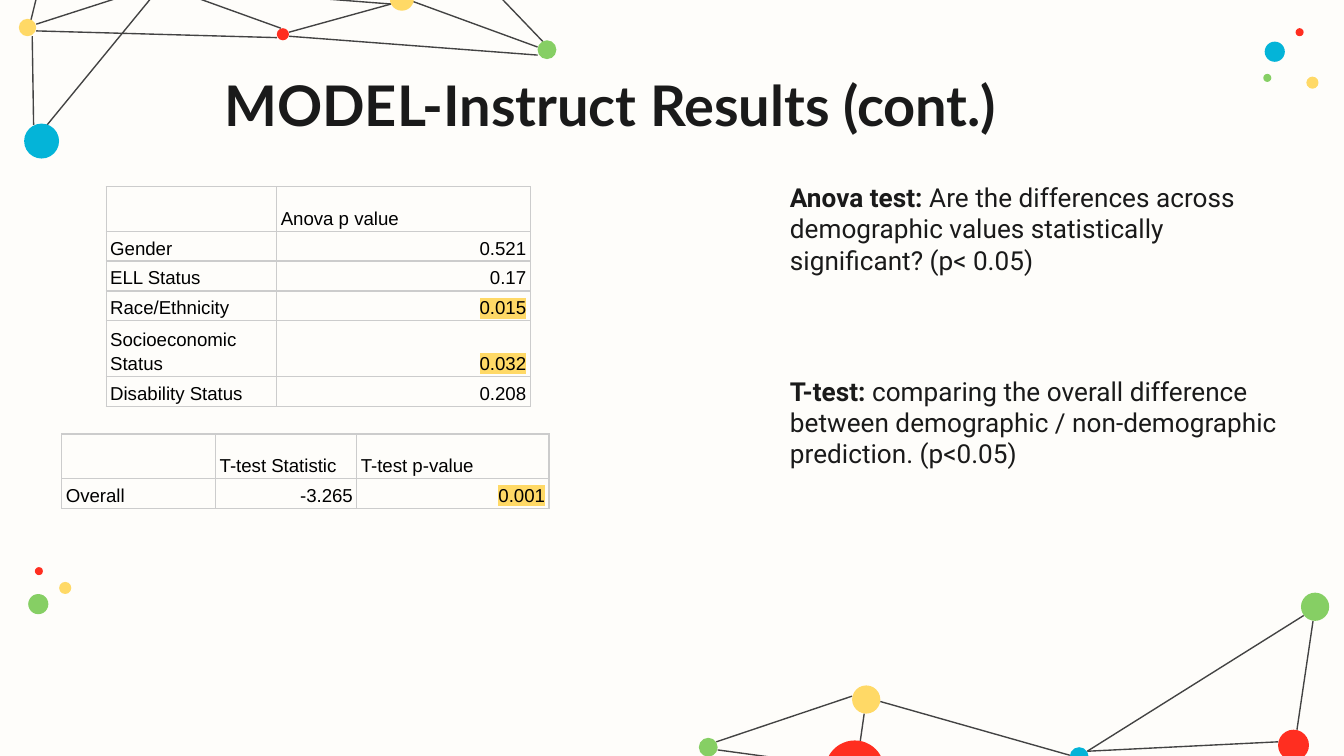
from dataclasses import dataclass

from lxml.etree import SubElement as Sub
from pptx import Presentation
from pptx.dml.color import RGBColor as Rgb
from pptx.enum.shapes import MSO_CONNECTOR as Link, MSO_SHAPE as Form
from pptx.enum.text import MSO_ANCHOR as Anchor, PP_ALIGN as Align
from pptx.oxml.ns import qn
from pptx.util import Pt

SCALE = 4572  # EMU per px, 200 px to the inch


@dataclass(frozen=True)
class Theme:
    paper: str = "FEFDFA"
    ink: str = "1A1A1A"
    black: str = "000000"
    wire: str = "434343"
    grid: str = "CCCCCC"
    gold: str = "FFD966"
    green: str = "86CF64"
    red: str = "FF2E20"
    blue: str = "04B4D8"
    title: int = 30
    body: int = 14
    cell: int = 10
    thin: float = 0.75


T = Theme()
ROW = 44  # least row height; rows grow with their text

# Dots: left, top, diameter, colour
DOTS = [
    (88, 866, 18, T.gold), (42, 884, 30, T.green), (52, 844, 12, T.red),
    (1944, 114, 18, T.gold), (1882, 62, 30, T.blue), (1928, 42, 12, T.red),
    (1880, 110, 12, T.green),
    (580, -20, 36, T.gold), (28, 28, 26, T.gold), (412, 42, 18, T.red),
    (800, 60, 28, T.green), (36, 184, 52, T.blue),
    (1936, 882, 42, T.green), (1228, 1102, 88, T.red),
    (1902, 1086, 46, T.red), (1592, 1112, 28, T.blue),
    (1040, 1098, 28, T.green), (1268, 1020, 42, T.gold),
]

# Wires: x and y of both ends
WIRES = [
    (54, 36, 228, -20), (418, 42, 246, -20), (174, -488, 46, 30),
    (54, 46, 412, 56), (430, 48, 582, 6), (246, -20, 582, 6),
    (800, 70, 614, 2), (430, 54, 800, 82), (808, 62, 624, -130),
    (234, -14, 70, 186), (48, 54, 50, 186),
    (1954, 924, 1930, 1086), (1940, 916, 1618, 1118),
    (1902, 1104, 1618, 1118), (1068, 1116, 1230, 1138),
    (1066, 1104, 1268, 1036), (1310, 1044, 1592, 1124),
    (1286, 1062, 1280, 1104),
]

ANOVA = [
    ("", "Anova p value"),
    ("Gender", "0.521"),
    ("ELL Status", "0.17"),
    ("Race/Ethnicity", "0.015"),
    ("Socioeconomic Status", "0.032"),
    ("Disability Status", "0.208"),
]
TTEST = [
    ("", "T-test Statistic", "T-test p-value"),
    ("Overall", "-3.265", "0.001"),
]
MARKED = {"0.015", "0.032", "0.001"}

NOTES = [
    (250, "Anova test:", " Are the differences across demographic values "
     "statistically significant? (p< 0.05)"),
    (538, "T-test:", " comparing the overall difference between "
     "demographic / non-demographic prediction. (p<0.05)"),
]


def px(*nums):
    return [n * SCALE for n in nums]


def write(para, text, *, size, font, color=T.ink, bold=False, mark=None):
    """Add one run of text to a paragraph."""
    run = para.add_run()
    run.text = text
    face = run.font
    face.size, face.name, face.bold = Pt(size), font, bold
    face.color.rgb = Rgb.from_string(color)
    if mark:
        # The highlight has to stand between the fill and the font name
        tag = Sub(run._r.rPr, qn("a:highlight"))
        Sub(tag, qn("a:srgbClr"), val=mark)
        run._r.rPr.find(qn("a:solidFill")).addnext(tag)


def dot(slide, left, top, size, color):
    shape = slide.shapes.add_shape(Form.OVAL, *px(left, top, size, size))
    shape.shadow.inherit = False
    shape.fill.solid()
    shape.fill.fore_color.rgb = Rgb.from_string(color)
    shape.line.fill.background()


def wire(slide, *ends):
    link = slide.shapes.add_connector(Link.STRAIGHT, *px(*ends))
    link.line.color.rgb = Rgb.from_string(T.wire)
    link.line.width = Pt(T.thin)
    Sub(link._element.spPr, qn("a:effectLst"))


def inset(item, side, end):
    """Set the margins of a text frame or a cell."""
    item.margin_left, item.margin_right = px(side, side)
    item.margin_top, item.margin_bottom = px(end, end)


def box(slide, *area):
    """Add a wrapped text box and return its first paragraph."""
    frame = slide.shapes.add_textbox(*px(*area)).text_frame
    frame.word_wrap = True
    inset(frame, 20, 20)
    return frame.paragraphs[0]


def edge(cell):
    """Draw the four borders of a cell."""
    props = cell._tc.get_or_add_tcPr()
    for spot, side in enumerate("LRTB"):
        line = Sub(props, qn(f"a:ln{side}"), w=str(Pt(T.thin)))
        fill = Sub(line, qn("a:solidFill"))
        Sub(fill, qn("a:srgbClr"), val=T.grid)
        props.insert(spot, line)


def table(slide, left, top, cols, data):
    area = px(left, top, sum(cols), ROW * len(data))
    grid = slide.shapes.add_table(len(data), len(cols), *area).table
    grid.first_row = grid.horz_banding = False
    for col, wide in zip(grid.columns, px(*cols)):
        col.width = wide
    for r, line in enumerate(data):
        for c, text in enumerate(line):
            cell = grid.cell(r, c)
            cell.vertical_anchor = Anchor.BOTTOM
            inset(cell, 6, 3)
            cell.fill.background()
            edge(cell)
            if not text:
                continue
            para = cell.text_frame.paragraphs[0]
            para.line_spacing = 1.15
            para.alignment = Align.RIGHT if r and c else Align.LEFT
            write(para, text, size=T.cell, font="Arial", color=T.black,
                  mark=T.gold if text in MARKED else None)


def main():
    deck = Presentation()
    deck.slide_width, deck.slide_height = px(2000, 1125)
    slide = deck.slides.add_slide(deck.slide_layouts[6])
    slide.background.fill.solid()
    slide.background.fill.fore_color.rgb = Rgb.from_string(T.paper)

    # Network in the corners
    for ends in WIRES:
        wire(slide, *ends)
    for item in DOTS:
        dot(slide, *item)

    # Title
    write(box(slide, 314, 85, 1360, 366), "MODEL-Instruct Results (cont.)",
          size=T.title, font="Lato", bold=True)

    # Result tables
    table(slide, 158, 278, (254, 377), ANOVA)
    table(slide, 92, 646, (229, 210, 286), TTEST)

    # Notes on the tests
    for top, name, text in NOTES:
        para = box(slide, 1156, top, 786, 202)
        write(para, name, size=T.body, font="Roboto", bold=True)
        write(para, text, size=T.body, font="Roboto")

    deck.save("out.pptx")


if __name__ == "__main__":
    main()
